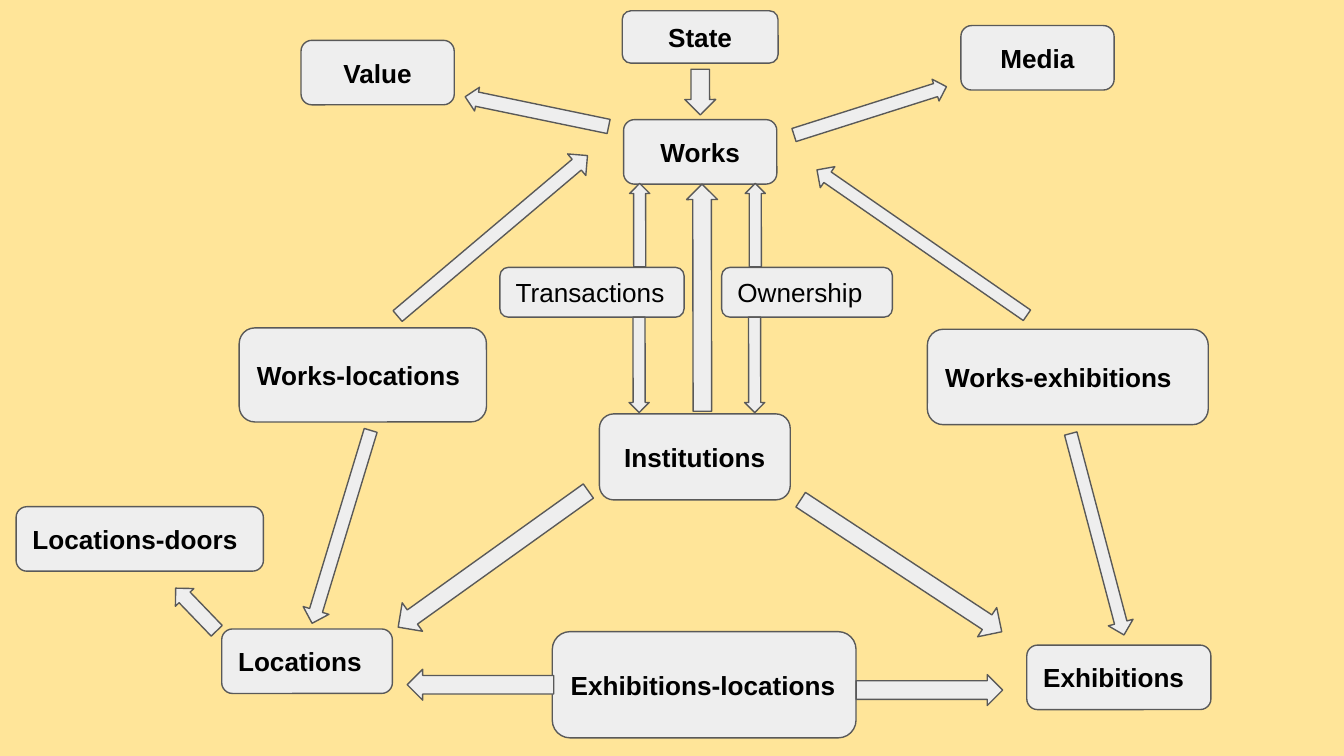
from pptx import Presentation
from pptx.dml.color import RGBColor
from pptx.enum.shapes import MSO_SHAPE as Kind
from pptx.enum.text import MSO_ANCHOR as Anchor, PP_ALIGN as Align
from pptx.util import Inches, Pt


def tint(code):
    return RGBColor.from_string(code)


def write(frame, text, size=14, bold=True, color="000000", font="Arial", align=Align.LEFT):
    para = frame.paragraphs[0]
    para.alignment = align
    run = para.add_run()
    run.text = text
    run.font.size = Pt(size)
    run.font.bold = bold
    run.font.name = font
    run.font.color.rgb = tint(color)


class Board:
    back = "FFE599"
    fill = "EEEEEE"
    edge = "595959"

    def __init__(self, slide):
        self.slide = slide
        paint = slide.background.fill
        paint.solid()
        paint.fore_color.rgb = tint(self.back)

    def shape(self, kind, area):
        item = self.slide.shapes.add_shape(kind, *map(Inches, area))
        item.shadow.inherit = False
        item.fill.solid()
        item.fill.fore_color.rgb = tint(self.fill)
        item.line.color.rgb = tint(self.edge)
        item.line.width = Pt(0.75)
        return item

    def box(self, text, area, **style):
        item = self.shape(Kind.ROUNDED_RECTANGLE, area)
        frame = item.text_frame
        frame.word_wrap = True
        frame.vertical_anchor = Anchor.MIDDLE
        frame.margin_left = frame.margin_right = Inches(0.1)
        frame.margin_top = frame.margin_bottom = Inches(0.1)
        write(frame, text, **style)

    def arrow(self, area, turn=0, stem=0.6):
        item = self.shape(Kind.RIGHT_ARROW, area)
        item.adjustments[0] = stem
        item.adjustments[1] = 0.5
        item.rotation = turn


MID = {"align": Align.CENTER}
THIN = {"bold": False}

BOXES = [
    ("Exhibitions", (7.64, 4.8, 1.37, 0.48), {}),
    ("Works", (4.64, 0.89, 1.14, 0.48), MID),
    ("Locations", (1.65, 4.68, 1.27, 0.48), {}),
    ("Institutions", (4.46, 3.08, 1.42, 0.64), MID),
    ("Works-locations", (1.78, 2.44, 1.84, 0.7), {}),
    ("Works-exhibitions", (6.9, 2.45, 2.09, 0.71), {}),
    ("Exhibitions-locations", (4.11, 4.7, 2.26, 0.79), {}),
    ("Ownership", (5.37, 1.99, 1.27, 0.37), THIN),
    ("Transactions", (3.72, 1.99, 1.37, 0.37), THIN),
    ("Media", (7.15, 0.19, 1.14, 0.48), MID),
    ("State", (4.63, 0.08, 1.16, 0.39), MID),
    ("Value", (2.24, 0.3, 1.14, 0.48), MID),
    ("Locations-doors", (0.12, 3.77, 1.84, 0.48), {}),
]

SLIM = [
    ((5.91, 1.71, 1.9, 0.19), 214.7),
    ((1.79, 3.82, 1.5, 0.2), 106.9),
    ((2.74, 1.65, 1.85, 0.21), 319.8),
    ((7.39, 3.88, 1.55, 0.19), 75.2),
    ((5.81, 4.08, 1.79, 0.26), 33.3),
    ((2.8, 4.03, 1.74, 0.26), 144.4),
]

WIDE = [
    ((3.03, 4.98, 1.09, 0.23), 180),
    ((6.37, 5.02, 1.09, 0.23), 0),
    ((5.04, 0.57, 0.34, 0.23), 89.9),
    ((5.88, 0.74, 1.19, 0.17), 342.4),
    ((3.45, 0.74, 1.09, 0.18), 191.7),
    ((4.38, 2.1, 1.69, 0.23), 269.9),
    ((1.24, 4.44, 0.44, 0.19), 226.1),
]


def main():
    deck = Presentation()
    deck.slide_width = Inches(10)
    deck.slide_height = Inches(10 * 9 / 16)
    board = Board(deck.slides.add_slide(deck.slide_layouts[6]))

    for text, area, style in BOXES:
        board.box(text, area, **style)
    for area, turn in SLIM:
        board.arrow(area, turn, stem=0.5)
    for area, turn in WIDE:
        board.arrow(area, turn)
    for left in (4.4, 5.26):
        board.arrow((left, 2.64, 0.71, 0.15), 89.9)
        board.arrow((left + 0.05, 1.6, 0.62, 0.15), 269.9)

    deck.save("out.pptx")


if __name__ == "__main__":
    main()
